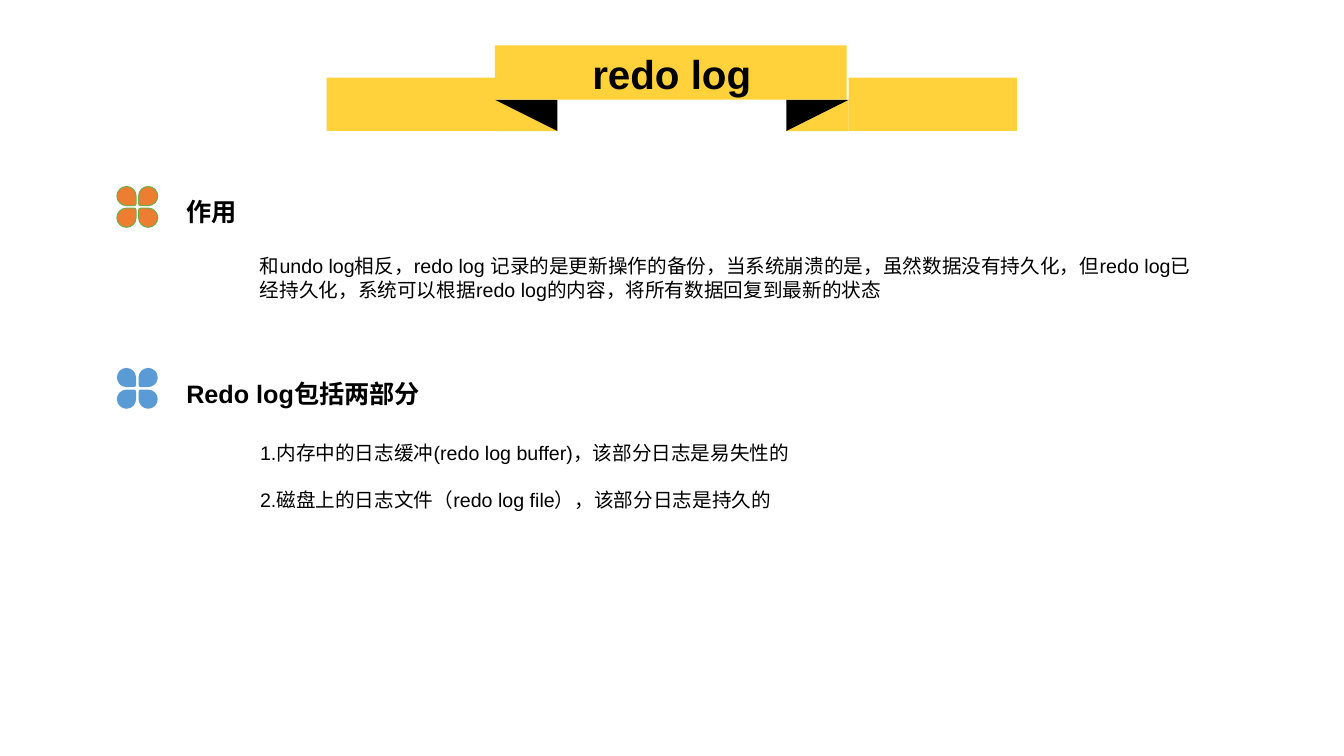
from dataclasses import dataclass

from lxml import etree
from pptx import Presentation
from pptx.dml.color import RGBColor
from pptx.enum.shapes import MSO_SHAPE
from pptx.enum.text import MSO_ANCHOR, MSO_AUTO_SIZE, PP_ALIGN
from pptx.oxml.ns import qn
from pptx.util import Pt

EMU_PER_PX = 9144  # 100 px to the inch
RECTANGLE = MSO_SHAPE.RECTANGLE
RIGHT_TRIANGLE = MSO_SHAPE.RIGHT_TRIANGLE
LEFT, CENTER = PP_ALIGN.LEFT, PP_ALIGN.CENTER
TOP, MIDDLE = MSO_ANCHOR.TOP, MSO_ANCHOR.MIDDLE
NO_FIT, GROW = MSO_AUTO_SIZE.NONE, MSO_AUTO_SIZE.SHAPE_TO_FIT_TEXT


@dataclass(frozen=True)
class Theme:
    font: str = "Arial"
    ink: str = "000000"
    ribbon: str = "FFD23C"
    orange: str = "ED7D31"
    green: str = "70AD47"
    blue: str = "5B9BD5"
    title_size: float = 28.8
    heading_size: float = 18
    body_size: float = 14


THEME = Theme()

PURPOSE = (
    "和undo log相反，redo log 记录的是更新操作的备份，当系统崩溃的是，"
    "虽然数据没有持久化，但redo log已经持久化，系统可以根据redo log的内容，"
    "将所有数据回复到最新的状态"
)
PARTS = [
    "1.内存中的日志缓冲(redo log buffer)，该部分日志是易失性的",
    "2.磁盘上的日志文件（redo log file），该部分日志是持久的",
]


def px(length):
    return round(length * EMU_PER_PX)


def place(shape, left, top, width, height):
    shape.left, shape.top = px(left), px(top)
    shape.width, shape.height = px(width), px(height)


def paint(shape, fill, outline=None):
    shape.shadow.inherit = False
    shape.fill.solid()
    shape.fill.fore_color.rgb = RGBColor.from_string(fill)
    if outline:
        shape.line.color.rgb = RGBColor.from_string(outline)
        shape.line.width = Pt(0.75)
    else:
        shape.line.fill.background()


def write(shape, lines, size, bold=False, align=LEFT, anchor=TOP, wrap=True,
          fit=GROW, spacing=None, gap=0):
    """Fill a shape with unbulleted paragraphs, gap points apart."""
    frame = shape.text_frame
    frame.text = "\n".join(lines)
    frame.word_wrap = wrap
    frame.auto_size = fit
    frame.vertical_anchor = anchor
    for number, paragraph in enumerate(frame.paragraphs):
        paragraph.alignment = align
        paragraph.line_spacing = spacing
        paragraph.space_before = Pt(gap if number else 0)
        properties = paragraph._p.get_or_add_pPr()
        properties.set("marL", "0")
        properties.set("indent", "0")
        etree.SubElement(properties, qn("a:buNone"))
        font = paragraph.runs[0].font
        font.name, font.size, font.bold = THEME.font, Pt(size), bold
        font.color.rgb = RGBColor.from_string(THEME.ink)


def add_text(slide, box, lines, size, **text_format):
    textbox = slide.shapes.add_textbox(*map(px, box))
    write(textbox, lines, size, **text_format)


def add_piece(ribbon, kind, box, fill, rotation=0, mirrored=False):
    piece = ribbon.shapes.add_shape(kind, *map(px, box))
    paint(piece, fill)
    piece.rotation = rotation
    if mirrored:
        piece.element.spPr.xfrm.set("flipH", "1")


def add_ribbon(slide):
    ribbon = slide.shapes.add_group_shape()
    add_piece(ribbon, RECTANGLE, (491, 45, 349, 54), THEME.ribbon)
    for tail_left, fold_left, mirrored in ((324, 491, False), (842, 780, True)):
        fold = (fold_left, 99, 62, 31)
        add_piece(ribbon, RIGHT_TRIANGLE, fold, THEME.ribbon, mirrored=mirrored)
        add_piece(ribbon, RIGHT_TRIANGLE, fold, THEME.ink, 180, mirrored)
        add_piece(ribbon, RECTANGLE, (tail_left, 77, 167, 53), THEME.ribbon)


def petal_points(center_x, center_y, side_x, side_y):
    """List a petal's nodes; each rounded corner gives two controls and an end."""
    near, bend, middle, far = 1.25, 3.25, 10.75, 20.25

    def rounded(start, corner, end):
        controls = [tuple(a + 0.55 * (c - a) for a, c in zip(node, corner))
                    for node in (start, end)]
        return [*controls, end]

    nodes = [
        (middle, near),
        (bend, near), *rounded((bend, near), (near, near), (near, bend)),
        (near, middle), *rounded((near, middle), (near, far), (middle, far)),
        *rounded((middle, far), (far, far), (far, middle)),
        *rounded((far, middle), (far, near), (middle, near)),
    ]
    return [(px(center_x + side_x * x), px(center_y + side_y * y)) for x, y in nodes]


def curve_petals(clover):
    """Turn the control and end nodes of each petal into cubic curves."""
    path = clover.element.find(".//" + qn("a:path"))
    for move in path.findall(qn("a:moveTo")):
        segments = list(move.itersiblings())[:14]
        for first in (1, 5, 8, 11):
            curve = etree.Element(qn("a:cubicBezTo"))
            segments[first].addprevious(curve)
            for segment in segments[first:first + 3]:
                curve.append(segment[0])
                path.remove(segment)


def add_clover(slide, left, top, fill, outline=None):
    center_x, center_y = left + 20.25, top + 20.25
    petals = [petal_points(center_x, center_y, side_x, side_y)
              for side_y in (-1, 1) for side_x in (-1, 1)]
    builder = slide.shapes.build_freeform(*petals[0][0], scale=1.0)
    for number, petal in enumerate(petals):
        if number:
            builder.move_to(*petal[0])
        builder.add_line_segments(petal[1:], close=True)
    clover = builder.convert_to_shape()
    curve_petals(clover)
    paint(clover, fill, outline)


def main():
    deck = Presentation()
    deck.slide_width, deck.slide_height = px(4000) // 3, px(750)
    slide = deck.slides.add_slide(deck.slide_layouts[1])
    title, parts_list = slide.placeholders

    add_ribbon(slide)
    place(title, 491, 57, 351, 38)
    write(title, ["redo log"], THEME.title_size, bold=True, align=CENTER,
          anchor=MIDDLE, fit=NO_FIT, spacing=0.9)
    title.element.getparent().append(title.element)  # bring in front of the ribbon

    add_clover(slide, 116, 185, THEME.orange, THEME.green)
    add_text(slide, (175, 190, 71, 40), ["作用"], THEME.heading_size,
             bold=True, wrap=False)
    add_text(slide, (248, 247, 955, 57), [PURPOSE], THEME.body_size)

    add_clover(slide, 116, 365, THEME.blue)
    add_text(slide, (175, 370, 260, 40), ["Redo log包括两部分"],
             THEME.heading_size, bold=True, wrap=False)
    place(parts_list, 248, 432, 897, 81)
    write(parts_list, PARTS, THEME.body_size, gap=17)

    deck.save("out.pptx")


if __name__ == "__main__":
    main()
